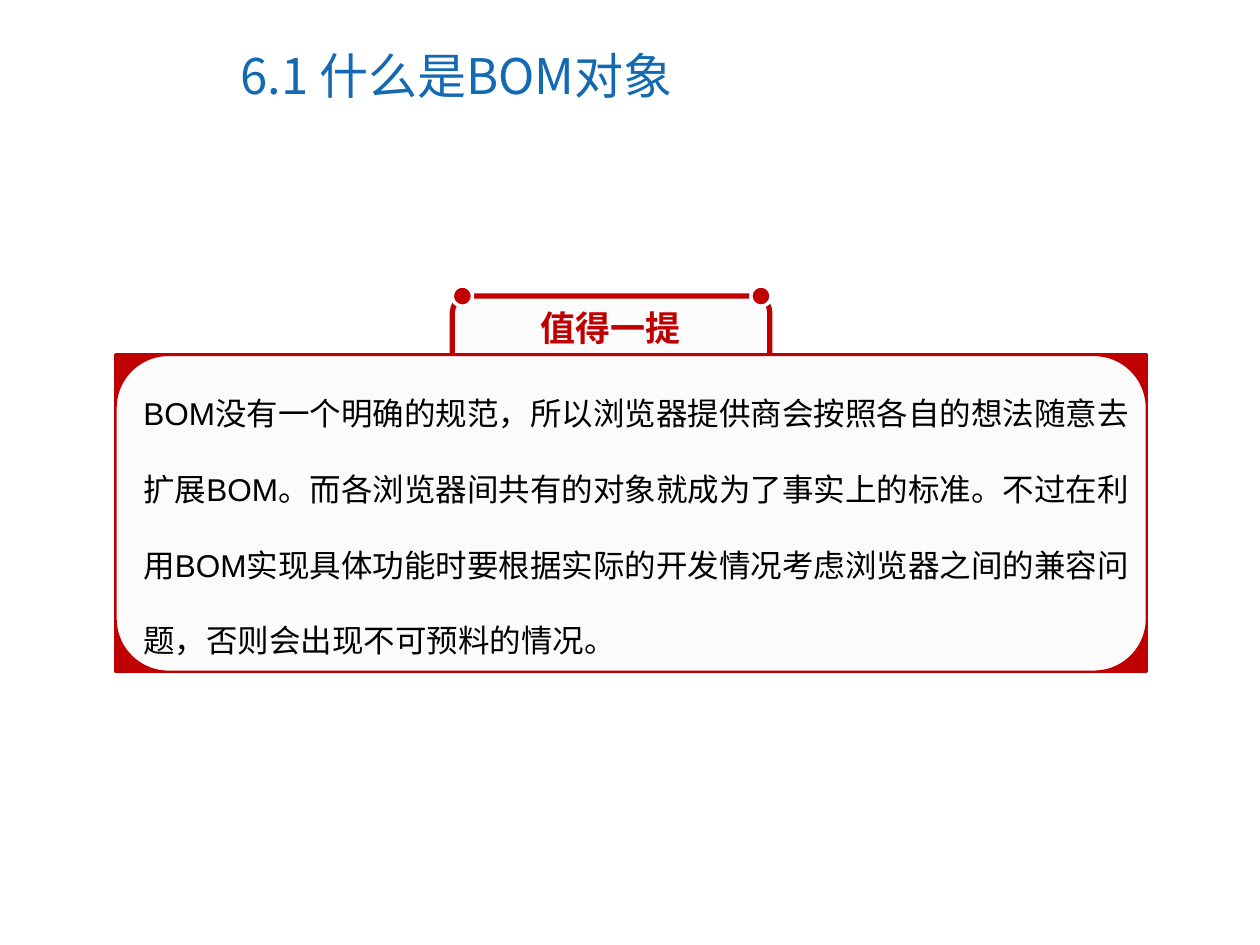
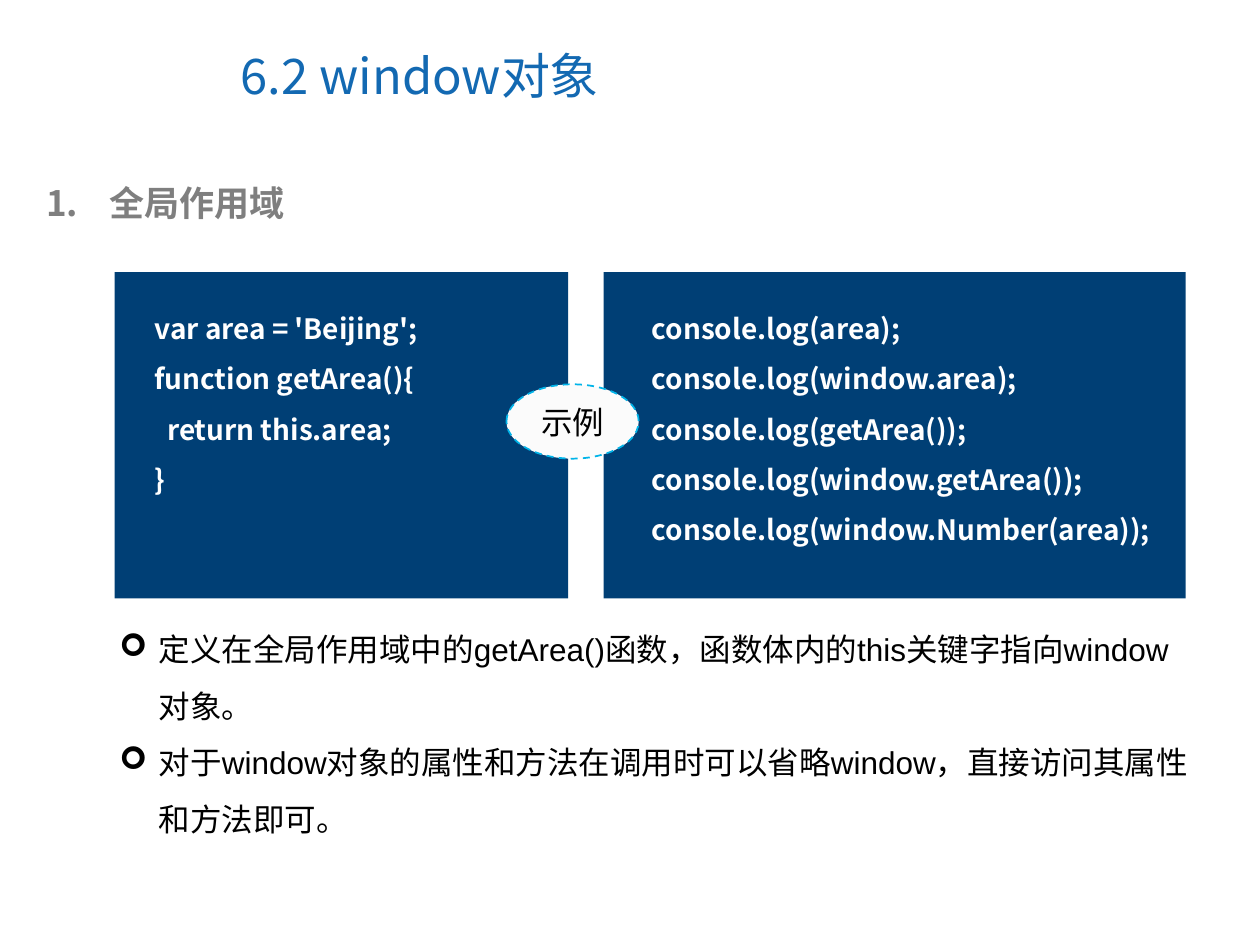
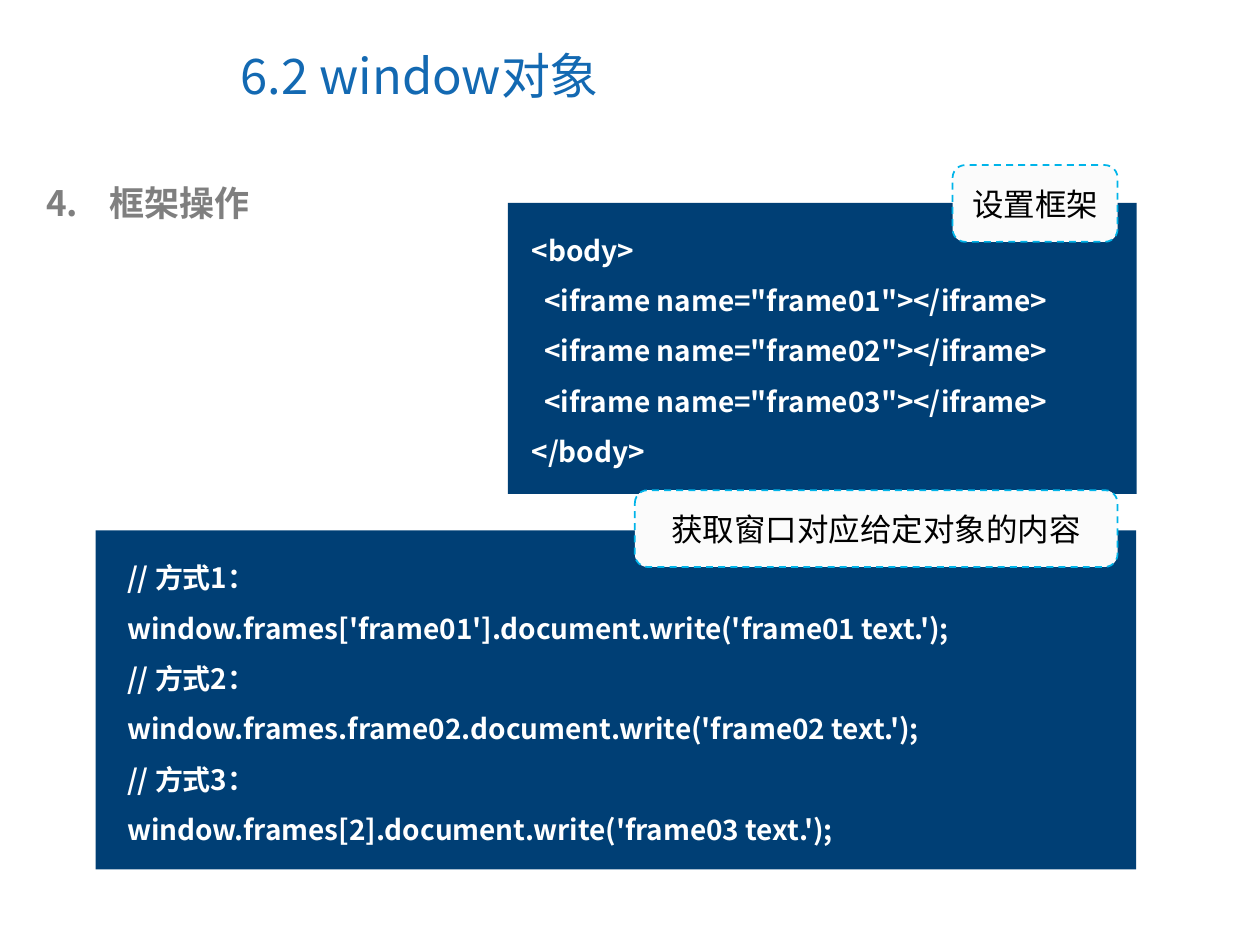
from dataclasses import dataclass

from lxml import etree
from pptx import Presentation
from pptx.dml.color import RGBColor
from pptx.enum.dml import MSO_LINE
from pptx.enum.shapes import MSO_SHAPE
from pptx.enum.text import MSO_ANCHOR, PP_ALIGN
from pptx.oxml.ns import qn
from pptx.util import Pt

RECTANGLE = MSO_SHAPE.RECTANGLE
ROUNDED = MSO_SHAPE.ROUNDED_RECTANGLE
PROCESS = MSO_SHAPE.FLOWCHART_PROCESS
ALTERNATE_PROCESS = MSO_SHAPE.FLOWCHART_ALTERNATE_PROCESS
OVAL = MSO_SHAPE.OVAL
DASH = MSO_LINE.DASH
LEFT = PP_ALIGN.LEFT
CENTER = PP_ALIGN.CENTER
TOP = MSO_ANCHOR.TOP
MIDDLE = MSO_ANCHOR.MIDDLE
TITLE_ONLY = 5


@dataclass(frozen=True)
class Theme:
    title_blue: str = "1369B2"
    panel_blue: str = "003F75"
    label_blue: str = "00B4E9"
    accent_red: str = "C00000"
    paper: str = "FBFBFB"
    white: str = "FFFFFF"
    gray: str = "7F7F7F"
    black: str = "000000"
    heading_font: str = "Noto Sans CJK SC"
    body_font: str = "Arial"
    title_size: int = 28
    heading_size: int = 20
    body_size: int = 18
    code_size: int = 16


THEME = Theme()


def points(*lengths):
    return [Pt(length) for length in lengths]


def add_bullet(paragraph, color, indent, symbol=None, number=None):
    properties = paragraph._p.get_or_add_pPr()
    properties.set("marL", str(Pt(indent)))
    properties.set("indent", str(-Pt(indent)))
    bullet_color = etree.SubElement(properties, qn("a:buClr"))
    etree.SubElement(bullet_color, qn("a:srgbClr"), val=color)
    if number:
        etree.SubElement(properties, qn("a:buFont"), typeface=THEME.heading_font)
        etree.SubElement(properties, qn("a:buAutoNum"), type="arabicPeriod", startAt=str(number))
    else:
        etree.SubElement(properties, qn("a:buFont"), typeface="Wingdings")
        etree.SubElement(properties, qn("a:buChar"), char=symbol)


def write_text(shape, text, size=THEME.body_size, color=THEME.black, font=THEME.body_font,
               bold=False, align=LEFT, anchor=TOP, spacing=None, wrap=True, bullet=None):
    frame = shape.text_frame
    frame.word_wrap = wrap
    frame.vertical_anchor = anchor
    for index, line in enumerate(text.split("\n")):
        paragraph = frame.add_paragraph() if index else frame.paragraphs[0]
        if bullet:
            add_bullet(paragraph, color, **bullet)
        paragraph.alignment = align
        if spacing:
            paragraph.line_spacing = spacing
        run = paragraph.add_run()
        run.text = line
        run.font.size = Pt(size)
        run.font.bold = bold
        run.font.name = font
        run.font.color.rgb = RGBColor.from_string(color)
        etree.SubElement(run._r.get_or_add_rPr(), qn("a:ea"), typeface=THEME.heading_font)


def add_text(slide, box, text, **text_format):
    write_text(slide.shapes.add_textbox(*points(*box)), text, **text_format)


def add_box(slide, kind, box, fill, line=None, width=1, dash=None):
    shape = slide.shapes.add_shape(kind, *points(*box))
    shape.shadow.inherit = False
    shape.fill.solid()
    shape.fill.fore_color.rgb = RGBColor.from_string(fill)
    if line:
        shape.line.color.rgb = RGBColor.from_string(line)
        shape.line.width = Pt(width)
        shape.line.dash_style = dash
    else:
        shape.line.fill.background()
    return shape


def add_titled_slide(presentation, title):
    slide = presentation.slides.add_slide(presentation.slide_layouts[TITLE_ONLY])
    placeholder = slide.shapes.title
    placeholder.left, placeholder.top, placeholder.width, placeholder.height = points(
        130.3, 12.2, 371.5, 61.2)
    write_text(placeholder, title, size=THEME.title_size, color=THEME.title_blue,
               font=THEME.heading_font, anchor=MIDDLE)
    return slide


def add_numbered_heading(slide, number, text):
    add_text(slide, (19.4, 100.1, 663.8, 31.7), text, size=THEME.heading_size, color=THEME.gray,
             font=THEME.heading_font, bold=True, bullet={"indent": 36, "number": number})


def add_code_panel(slide, box, code, inset_left, inset_top):
    left, top, width, height = box
    add_box(slide, RECTANGLE, box, THEME.panel_blue)
    add_text(slide, (left + inset_left, top + inset_top, width, height - 2 * inset_top), code,
             size=THEME.code_size, color=THEME.white, font=THEME.heading_font,
             bold=True, spacing=1.5)


def add_label(slide, kind, box, text):
    label = add_box(slide, kind, box, THEME.paper, THEME.label_blue, dash=DASH)
    write_text(label, text, align=CENTER, anchor=MIDDLE)


def add_note_card(slide, heading, text):
    card = (66.2, 203, 589, 180.7)
    tab_left, tab_top, tab_width = 258.5, 169.2, 181.4
    dot = 11.5
    add_box(slide, ROUNDED, (tab_left, tab_top, tab_width, 56.9), THEME.paper,
            THEME.accent_red, width=3)
    add_box(slide, PROCESS, card, THEME.accent_red, THEME.accent_red, width=2)
    add_box(slide, ALTERNATE_PROCESS, card, THEME.paper, THEME.accent_red)
    for dot_left in (tab_left, tab_left + tab_width - dot + 0.7):
        add_box(slide, OVAL, (dot_left, tab_top - dot / 2, dot, dot), THEME.accent_red,
                THEME.white, width=2)
    add_text(slide, (301.7, 171.4, 94.3, 31.7), heading, size=THEME.heading_size,
             color=THEME.accent_red, font=THEME.heading_font, bold=True, wrap=False)
    add_text(slide, (74.9, 200.2, 581, 180), text, spacing=2)


def build_bom_slide(presentation):
    slide = add_titled_slide(presentation, "6.1 什么是BOM对象")
    add_note_card(slide, "值得一提", (
        "BOM没有一个明确的规范，所以浏览器提供商会按照各自的想法随意去扩展BOM。"
        "而各浏览器间共有的对象就成为了事实上的标准。"
        "不过在利用BOM实现具体功能时要根据实际的开发情况考虑浏览器之间的兼容问题，"
        "否则会出现不可预料的情况。"))


def build_scope_slide(presentation):
    slide = add_titled_slide(presentation, "6.2 window对象")
    add_numbered_heading(slide, 1, "全局作用域")
    add_code_panel(slide, (344.9, 155.5, 332.6, 186.5), """console.log(area);
console.log(window.area);
console.log(getArea());
console.log(window.getArea());
console.log(window.Number(area));""", 20.5, 9.4)
    add_code_panel(slide, (65.5, 155.5, 259.2, 186.5), """var area = 'Beijing';
function getArea(){
  return this.area;
}""", 15.8, 9.4)
    add_label(slide, OVAL, (289.4, 219.6, 75.6, 42.5), "示例")
    add_text(slide, (61.2, 345.6, 628.6, 136.8),
             "定义在全局作用域中的getArea()函数，函数体内的this关键字指向window对象。\n"
             "对于window对象的属性和方法在调用时可以省略window，直接访问其属性和方法即可。",
             spacing=1.5, bullet={"indent": 22.5, "symbol": "➢"})


def build_frames_slide(presentation):
    slide = add_titled_slide(presentation, "6.2 window对象")
    add_numbered_heading(slide, 4, "框架操作")
    add_code_panel(slide, (290.2, 115.9, 359.3, 166.3), """<body>
  <iframe name="frame01"></iframe>
  <iframe name="frame02"></iframe>
  <iframe name="frame03"></iframe>
</body>""", 6.5, 4.3)
    add_code_panel(slide, (54.7, 303.1, 594.5, 193.7), """// 方式1：
window.frames['frame01'].document.write('frame01 text.');
// 方式2：
window.frames.frame02.document.write('frame02 text.');
// 方式3：
window.frames[2].document.write('frame03 text.');""", 10.8, 4.3)
    label_right, label_height = 638.6, 43.9
    for text, top, width in (("获取窗口对应给定对象的内容", 280.1, 275.8),
                             ("设置框架", 94.3, 94.3)):
        add_label(slide, ROUNDED, (label_right - width, top, width, label_height), text)


def main():
    presentation = Presentation()
    presentation.slide_width, presentation.slide_height = points(720, 540)
    build_bom_slide(presentation)
    build_scope_slide(presentation)
    build_frames_slide(presentation)
    presentation.save("out.pptx")


if __name__ == "__main__":
    main()
